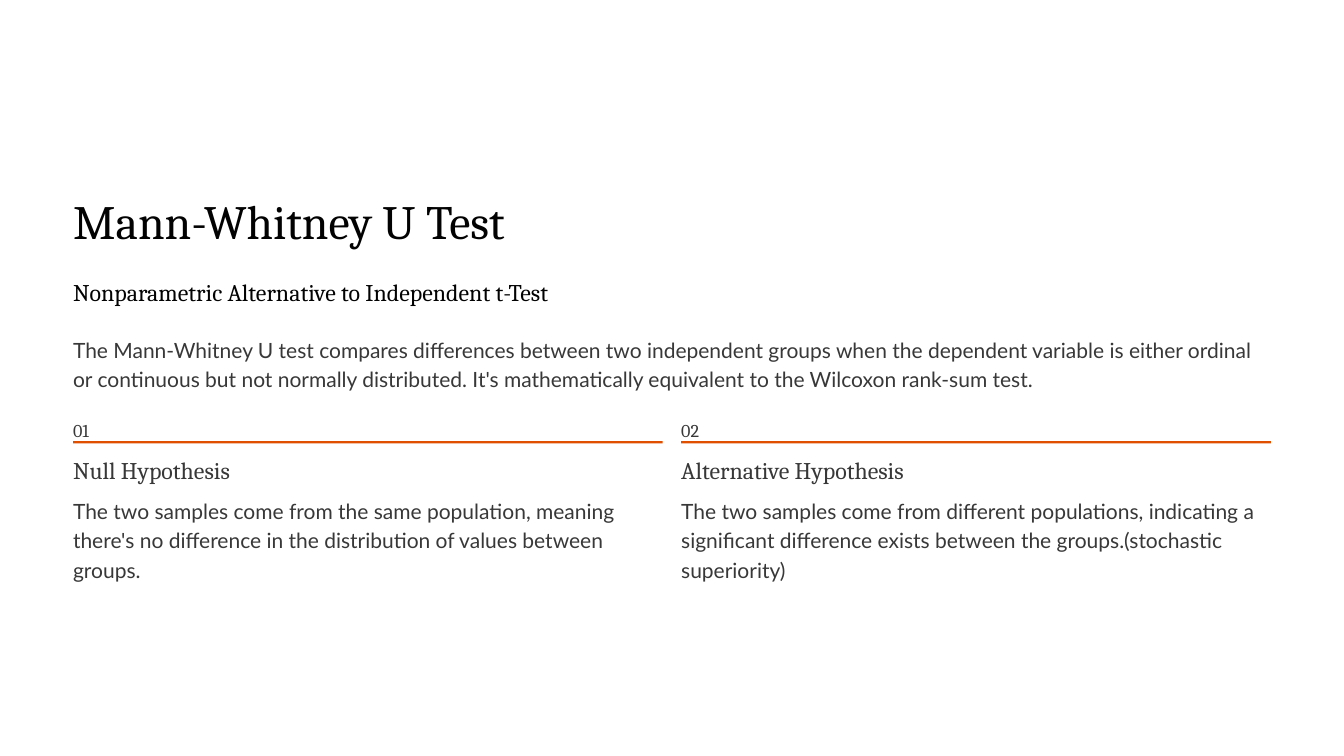
"""Build the Mann-Whitney U Test slide with its two hypotheses."""
from pptx import Presentation
from pptx.dml.color import RGBColor
from pptx.enum.shapes import MSO_SHAPE
from pptx.enum.text import MSO_ANCHOR, MSO_AUTO_SIZE, PP_ALIGN
from pptx.util import Cm, Pt

COLORS = {"background": "FFFFFF", "heading": "020202", "body": "383838", "rule": "E04F00"}
SERIF, SANS = "Cambria", "Lato"
MARGIN, COLUMN_WIDTH, COLUMN_GAP = 2.21, 17.83, 0.56
HYPOTHESES = [
    ("Null Hypothesis", 7.24,
     "The two samples come from the same population, meaning there's no difference "
     "in the distribution of values between groups."),
    ("Alternative Hypothesis", 7.39,
     "The two samples come from different populations, indicating a significant "
     "difference exists between the groups.(stochastic superiority)"),
]


def color(name):
    return RGBColor.from_string(COLORS[name])


def format_text(shape, text, font_name, size, spacing, color_name, wrap):
    frame = shape.text_frame
    frame.margin_left = frame.margin_top = frame.margin_right = frame.margin_bottom = 0
    frame.vertical_anchor = MSO_ANCHOR.TOP
    frame.auto_size = MSO_AUTO_SIZE.NONE
    frame.word_wrap = wrap
    paragraph = frame.paragraphs[0]
    paragraph.text = text
    paragraph.alignment = PP_ALIGN.LEFT
    paragraph.line_spacing = Pt(spacing)
    paragraph.space_before = Pt(0)
    paragraph.font.name = font_name
    paragraph.font.size = Pt(size)
    paragraph.font.color.rgb = color(color_name)


def add_title(slide, text):
    title = slide.shapes.title
    title.left, title.top, title.width, title.height = Cm(MARGIN), Cm(5.72), Cm(14.48), Cm(1.8)
    format_text(title, text, SERIF, 41, 51, "heading", False)


def add_label(slide, text, left, top, width, height=0.91, size=20.5, spacing=25.5,
              color_name="body"):
    box = slide.shapes.add_textbox(Cm(left), Cm(top), Cm(width), Cm(height))
    format_text(box, text, SERIF, size, spacing, color_name, False)


def add_body(slide, text, left, top, width):
    box = slide.shapes.add_textbox(Cm(left), Cm(top), Cm(width), Cm(1.75))
    format_text(box, text, SANS, 18, 25, "body", True)


def add_rule(slide, left, top, width):
    rule = slide.shapes.add_shape(MSO_SHAPE.RECTANGLE, Cm(left), Cm(top), Cm(width), Cm(0.07))
    rule.shadow.inherit = False
    rule.fill.solid()
    rule.fill.fore_color.rgb = color("rule")
    rule.line.fill.background()


def add_hypothesis(slide, index, heading, heading_width, text):
    left = MARGIN + index * (COLUMN_WIDTH + COLUMN_GAP)
    add_label(slide, f"{index + 1:02}", left, 12.47, 0.56, 0.69, 15.5, 25)
    add_rule(slide, left, 13.34, COLUMN_WIDTH)
    add_label(slide, heading, left, 13.74, heading_width)
    add_body(slide, text, left, 14.96, COLUMN_WIDTH)


def main():
    presentation = Presentation()
    presentation.slide_width, presentation.slide_height = Cm(40.64), Cm(22.86)
    slide = presentation.slides.add_slide(presentation.slide_layouts[5])
    slide.background.fill.solid()
    slide.background.fill.fore_color.rgb = color("background")
    add_title(slide, "Mann-Whitney U Test")
    add_label(slide, "Nonparametric Alternative to Independent t-Test", MARGIN, 8.36, 15.8,
              color_name="heading")
    add_body(slide, "The Mann-Whitney U test compares differences between two independent "
             "groups when the dependent variable is either ordinal or continuous but not "
             "normally distributed. It's mathematically equivalent to the Wilcoxon "
             "rank-sum test.", MARGIN, 10.08, 2 * COLUMN_WIDTH + COLUMN_GAP)
    for index, hypothesis in enumerate(HYPOTHESES):
        add_hypothesis(slide, index, *hypothesis)
    presentation.save("out.pptx")


if __name__ == "__main__":
    main()
